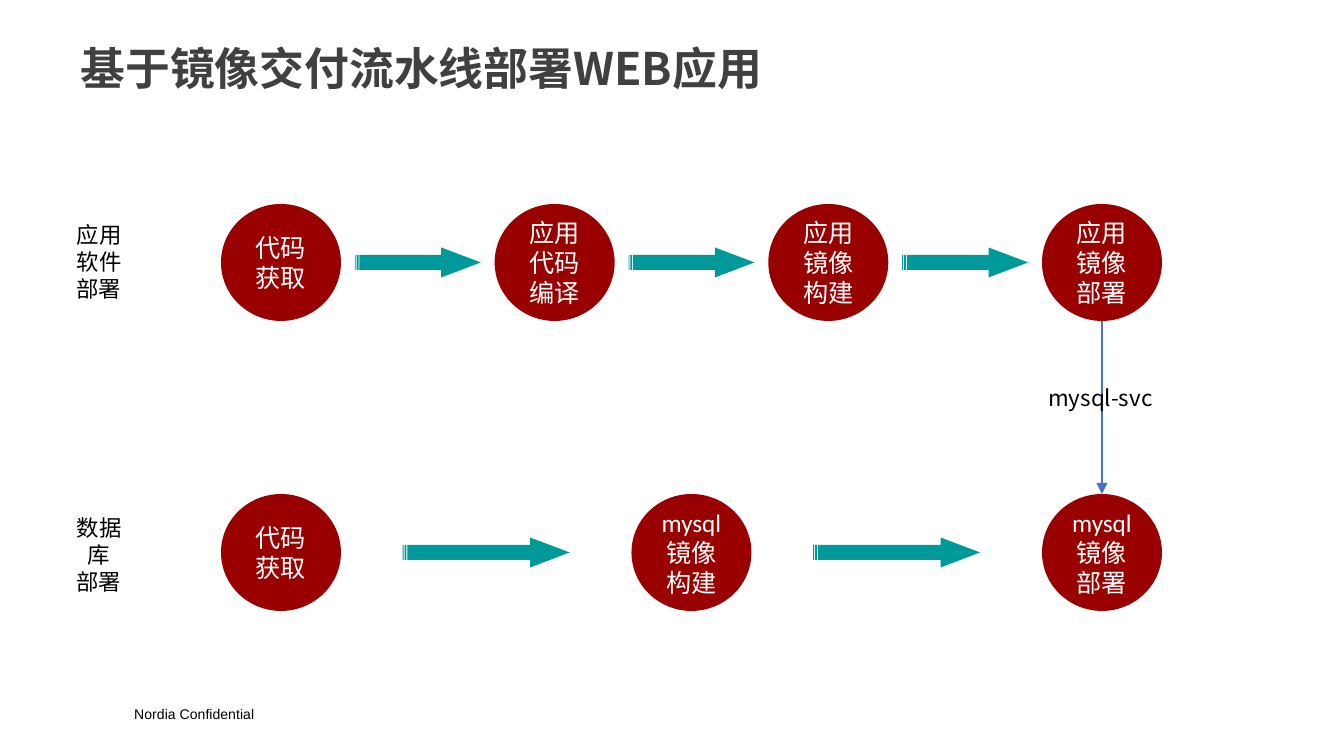
from itertools import pairwise

from lxml import etree
from pptx import Presentation
from pptx.dml.color import RGBColor
from pptx.enum.shapes import MSO_CONNECTOR, MSO_SHAPE
from pptx.enum.text import MSO_ANCHOR, MSO_AUTO_SIZE, PP_ALIGN
from pptx.oxml.ns import qn
from pptx.util import Emu, Pt

LEFT, CENTER = PP_ALIGN.LEFT, PP_ALIGN.CENTER
MIDDLE, TOP = MSO_ANCHOR.MIDDLE, MSO_ANCHOR.TOP
OVAL, ARROW = MSO_SHAPE.OVAL, MSO_SHAPE.STRIPED_RIGHT_ARROW
STRAIGHT = MSO_CONNECTOR.STRAIGHT

TITLE = "基于镜像交付流水线部署WEB应用"
FOOTER = "Nordia Confidential"
SERVICE = "mysql-svc"
PIPELINES = [
    {"label": ["应用软件部署"], "label_top": 215, "top": 204, "arrow_width": 126,
     "steps": ["代码获取", "应用代码编译", "应用镜像构建", "应用镜像部署"]},
    {"label": ["数据库", "部署"], "label_top": 508, "top": 494, "arrow_width": 167,
     "steps": ["代码获取", "mysql镜像构建", "mysql镜像部署"]},
]

COLORS = {"title": "404040", "step": "990000", "arrow": "009999",
          "link": "4472C4", "text": "000000", "step_text": "FFFFFF"}
CJK_FONT = "Noto Sans CJK SC"
PX = 914400 / 134.4
FIRST_LEFT, LAST_LEFT = 221, 1042
STEP_WIDTH, STEP_HEIGHT, ARROW_HEIGHT = 120, 117, 30


def px(*lengths):
    return [Emu(round(length * PX)) for length in lengths]


def color(name):
    return RGBColor.from_string(COLORS[name])


def write(box, lines, size, font, ink, align=LEFT, anchor=TOP, bold=False, wrap=True):
    frame = box.text_frame
    frame.text = "\n".join(lines)
    frame.word_wrap = wrap
    frame.auto_size = MSO_AUTO_SIZE.NONE
    frame.vertical_anchor = anchor
    for para in frame.paragraphs:
        para.alignment = align
        para.font.size = Pt(size)
        para.font.name = font
        para.font.bold = bold
        para.font.color.rgb = color(ink)
        for span in para.runs:
            east_asian = etree.SubElement(span.font._element, qn("a:ea"))
            east_asian.set("typeface", CJK_FONT)


def add_text(page, place, lines, size, font, **style):
    box = page.shapes.add_textbox(*px(*place))
    write(box, lines, size, font, "text", **style)


def add_filled(page, kind, place, fill):
    shape = page.shapes.add_shape(kind, *px(*place))
    shape.shadow.inherit = False
    shape.fill.solid()
    shape.fill.fore_color.rgb = color(fill)
    shape.line.fill.background()
    return shape


def add_pipeline(page, pipeline):
    add_text(page, (54, pipeline["label_top"], 90, 95), pipeline["label"],
             12, CJK_FONT, align=CENTER)
    steps, top, width = pipeline["steps"], pipeline["top"], pipeline["arrow_width"]
    pitch = (LAST_LEFT - FIRST_LEFT) / (len(steps) - 1)
    lefts = [FIRST_LEFT + pitch * index for index in range(len(steps))]
    for left, step in zip(lefts, steps):
        circle = add_filled(page, OVAL, (left, top, STEP_WIDTH, STEP_HEIGHT), "step")
        write(circle, [step], 13.5, "Calibri", "step_text", CENTER, MIDDLE)
        frame = circle.text_frame
        frame.margin_left = frame.margin_right = px(10)[0]
        frame.margin_top = frame.margin_bottom = px(6)[0]
    arrow_top = top + (STEP_HEIGHT - ARROW_HEIGHT) / 2
    for left, following in pairwise(lefts):
        arrow_left = (left + STEP_WIDTH + following - width) / 2
        arrow = add_filled(page, ARROW, (arrow_left, arrow_top, width, ARROW_HEIGHT), "arrow")
        arrow.adjustments[0] = 0.5
        arrow.adjustments[1] = 1.32


def add_link(page):
    """Arrow from the last application step down to the last database step."""
    middle = LAST_LEFT + STEP_WIDTH / 2
    upper, lower = (pipeline["top"] for pipeline in PIPELINES)
    link = page.shapes.add_connector(
        STRAIGHT, *px(middle, upper + STEP_HEIGHT, middle, lower))
    link.line.color.rgb = color("link")
    link.line.width = Pt(1.5)
    etree.SubElement(link.line._get_or_add_ln(), qn("a:tailEnd"), type="triangle")
    etree.SubElement(link._element.spPr, qn("a:effectLst"))


def main():
    deck = Presentation()
    deck.slide_width, deck.slide_height = px(1344, 756)
    page = deck.slides.add_slide(deck.slide_layouts[5])

    title = page.shapes.title
    title.left, title.top, title.width, title.height = px(67, 22, 1167, 91)
    write(title, [TITLE], 24, CJK_FONT, "title", anchor=MIDDLE, bold=True)

    add_text(page, (121, 699, 161, 31), [FOOTER], 7.5, "Arial")
    for pipeline in PIPELINES:
        add_pipeline(page, pipeline)
    add_link(page)
    add_text(page, (1035, 378, 136, 40), [SERVICE], 12, CJK_FONT, wrap=False)
    deck.save("out.pptx")


if __name__ == "__main__":
    main()
